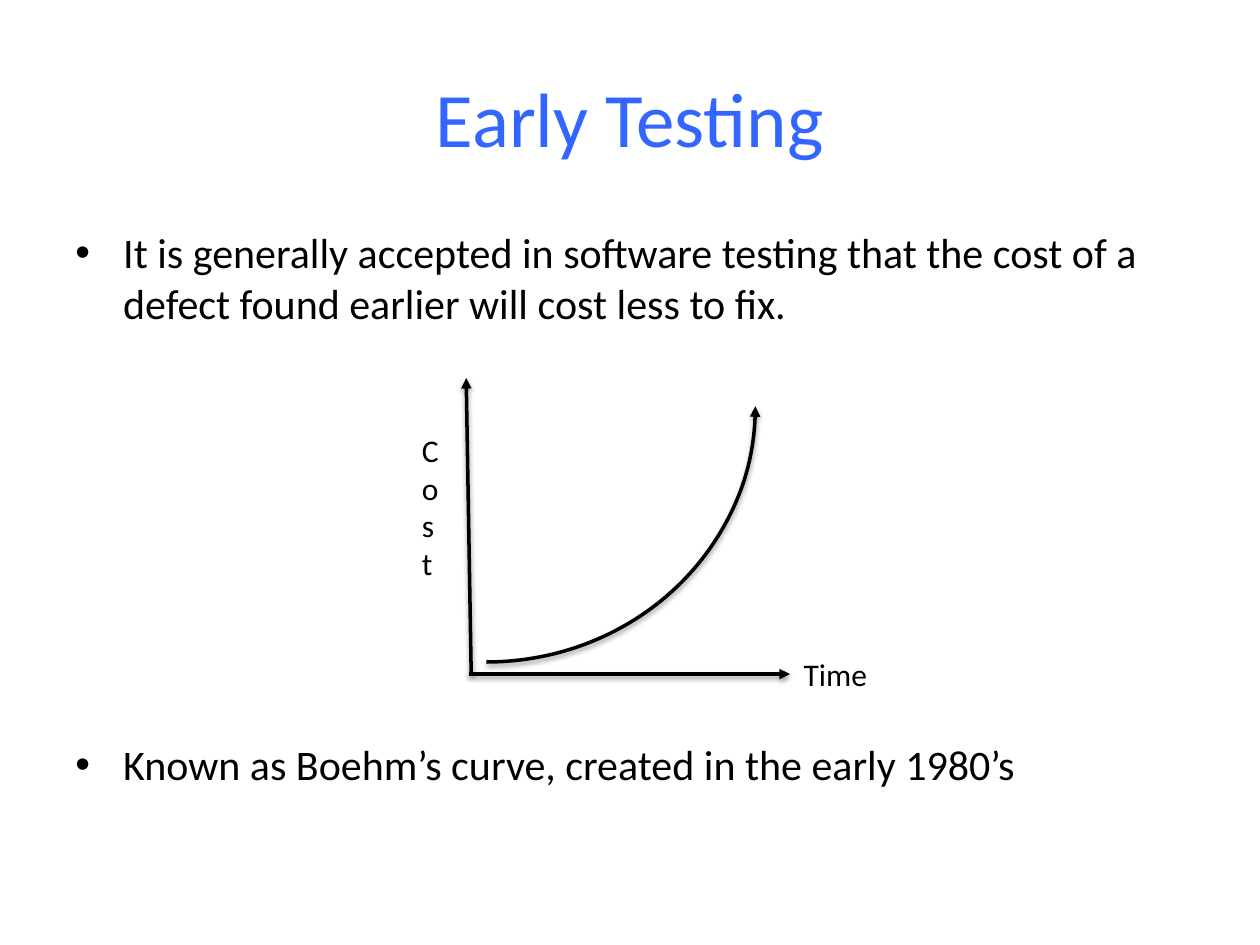
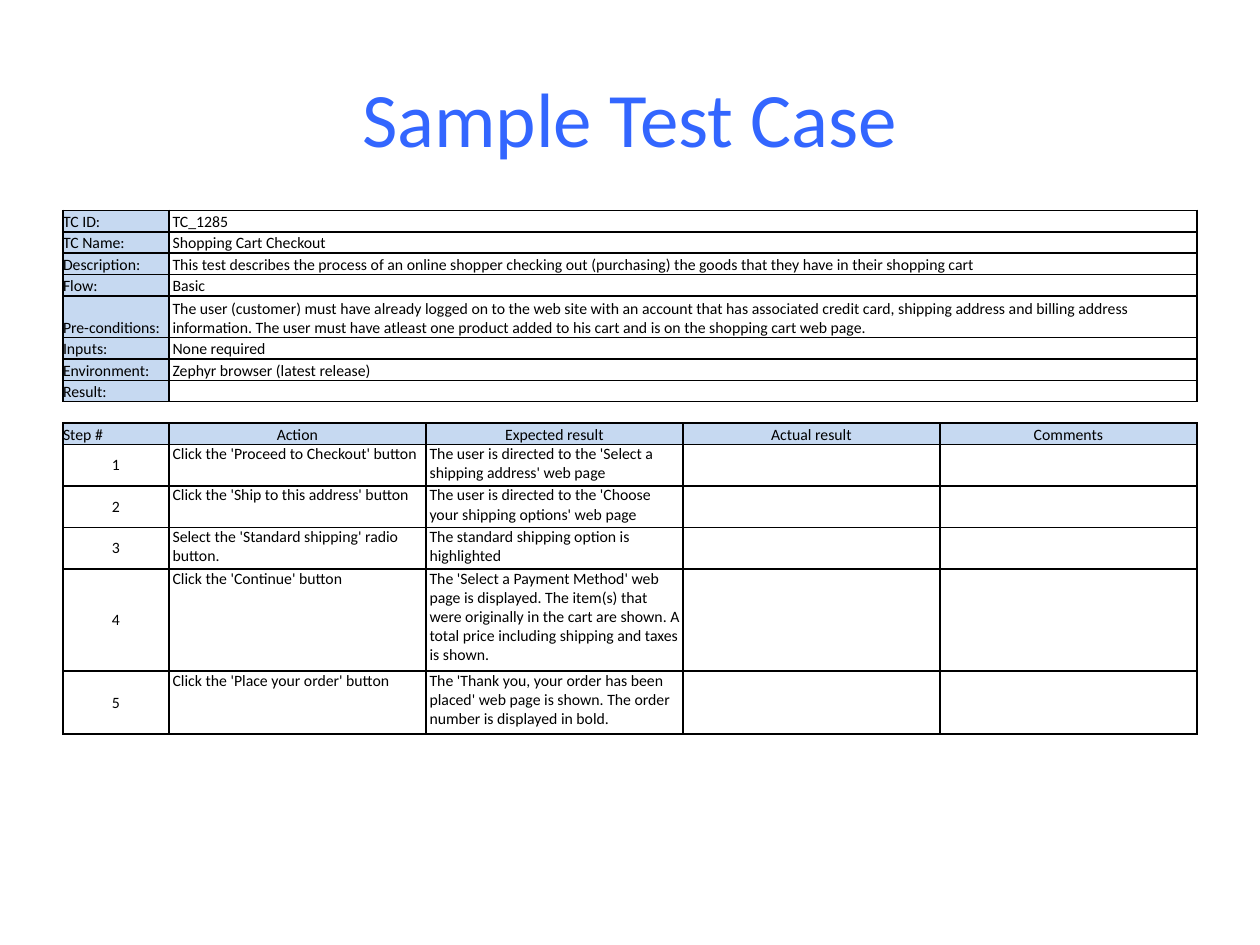
from dataclasses import dataclass

from lxml import etree
from pptx import Presentation
from pptx import util as u
from pptx.dml.color import RGBColor
from pptx.enum import shapes, text
from pptx.oxml import ns

IN = u.Inches
AL, ANC = text.PP_ALIGN, text.MSO_ANCHOR


@dataclass(frozen=True)
class Theme:
    font: str = "Calibri"
    title: str = "3366FF"
    ink: str = "000000"
    label: str = "C6D9F1"
    paper: str = "FFFFFF"
    title_pt: int = 44
    body_pt: int = 24
    axis_pt: int = 18
    cell_pt: int = 9


T = Theme()
TITLE_BOX = (0.5, 0.3, 9, 1.25)

BULLETS = [
    "It is generally accepted in software testing that the cost of a defect "
    "found earlier will cost less to fix.",
    "Known as Boehm’s curve, created in the early 1980’s",
]

DETAILS = [
    ("TC ID:", "TC_1285"),
    ("TC Name:", "Shopping Cart Checkout"),
    ("Description:", "This test describes the process of an online shopper checking out "
     "(purchasing) the goods that they have in their shopping cart"),
    ("Flow:", "Basic"),
    ("Pre-conditions:", "The user (customer) must have already logged on to the web site with an "
     "account that has associated credit card, shipping address and billing address\n"
     "information. The user must have atleast one product added to his cart and is on "
     "the shopping cart web page."),
    ("Inputs:", "None required"),
    ("Environment:", "Zephyr browser (latest release)"),
    ("Result:", ""),
]
HEADERS = ["Step #", "Action", "Expected result", "Actual result", "Comments"]
STEPS = [
    ("Click the 'Proceed to Checkout' button",
     "The user is directed to the 'Select a\nshipping address' web page"),
    ("Click the 'Ship to this address' button",
     "The user is directed to the 'Choose\nyour shipping options' web page"),
    ("Select the 'Standard shipping' radio\nbutton.",
     "The standard shipping option is\nhighlighted"),
    ("Click the 'Continue' button",
     "The 'Select a Payment Method' web\npage is displayed. The item(s) that\n"
     "were originally in the cart are shown. A\n"
     "total price including shipping and taxes\nis shown."),
    ("Click the 'Place your order' button",
     "The 'Thank you, your order has been\nplaced' web page is shown. The order\n"
     "number is displayed in bold."),
]
COLUMNS = [0.84] + [2.04] * 4
ROW, TWO_LINES = 0.17, 0.33
ROWS = [ROW] * 4 + [TWO_LINES] + [ROW] * 5 + [TWO_LINES] * 3 + [0.81, 0.5]


def sub(parent, tag, **attrs):
    return etree.SubElement(parent, ns.qn(tag), {k: str(v) for k, v in attrs.items()})


def style(p, size, color=T.ink, align=AL.LEFT):
    p.alignment = align
    p.font.name, p.font.size = T.font, u.Pt(size)
    p.font.color.rgb = RGBColor.from_string(color)


def add_text(s, box, words, size, color=T.ink, align=AL.LEFT, anchor=ANC.TOP):
    tf = s.shapes.add_textbox(*map(IN, box)).text_frame
    tf.word_wrap, tf.vertical_anchor = True, anchor
    tf.text = words
    style(tf.paragraphs[0], size, color, align)


def add_slide(prs, title):
    s = prs.slides.add_slide(prs.slide_layouts[6])
    add_text(s, TITLE_BOX, title, T.title_pt, T.title, AL.CENTER, ANC.MIDDLE)
    return s


def add_bullets(s, box, items, gap):
    tf = s.shapes.add_textbox(*map(IN, box)).text_frame
    tf.word_wrap = True
    tf.text = "\n".join(items)
    for i, p in enumerate(tf.paragraphs):
        pr = p._p.get_or_add_pPr()
        pr.set("marL", str(IN(0.38)))
        pr.set("indent", str(IN(-0.38)))
        sub(pr, "a:buFont", typeface="Arial")
        sub(pr, "a:buChar", char="•")
        style(p, T.body_pt)
        p.space_before = u.Pt(gap if i else 0)


def draw_arrow(sp, end):
    """Black line with an arrowhead at one end and a soft shadow below."""
    sp.line.color.rgb = RGBColor.from_string(T.ink)
    sp.line.width = u.Pt(2)
    sub(sp.line._get_or_add_ln(), end, type="triangle")
    pr = sp._element.spPr
    shadow = sub(sub(pr, "a:effectLst"), "a:outerShdw", blurRad=u.Pt(3.1), dist=u.Pt(1.6),
                 dir=5400000, rotWithShape=0)
    sub(sub(shadow, "a:srgbClr", val=T.ink), "a:alpha", val=38000)


def cost_curve(s, x, y):
    # Axes
    for x1, y1, x2, y2 in [(0.49, 2.35, 0.45, 0), (0.47, 2.35, 3.02, 2.35)]:
        axis = s.shapes.add_connector(shapes.MSO_CONNECTOR.STRAIGHT,
                                      IN(x + x1), IN(y + y1), IN(x + x2), IN(y + y2))
        draw_arrow(axis, "a:tailEnd")
    # Rising cost
    arc = s.shapes.add_shape(shapes.MSO_SHAPE.ARC, IN(x - 1.42), IN(y - 1.91), IN(4.06), IN(4.27))
    arc.rotation = 90
    arc.fill.background()
    draw_arrow(arc, "a:headEnd")
    # Axis names; the narrow box stacks its letters
    add_text(s, (x, y + 0.37, 0.33, 1.31), "Cost", T.axis_pt)
    add_text(s, (x + 3.03, y + 2.15, 0.8, 0.41), "Time", T.axis_pt)


def set_cell(cell, words="", fill=T.paper, align=AL.LEFT, anchor=ANC.TOP, pad=0.0, sides="LRTB"):
    cell.margin_left = IN(pad)
    cell.margin_right = cell.margin_top = cell.margin_bottom = 0
    cell.vertical_anchor = anchor
    pr = cell._tc.get_or_add_tcPr()
    for side in "LRTB":
        ln = sub(pr, "a:ln" + side, w=u.Pt(1))
        if side in sides:
            sub(sub(ln, "a:solidFill"), "a:srgbClr", val=T.ink)
        else:
            sub(ln, "a:noFill")
    cell.fill.solid()
    cell.fill.fore_color.rgb = RGBColor.from_string(fill)
    cell.text_frame.text = words
    for p in cell.text_frame.paragraphs:
        style(p, T.cell_pt, align=align)
        if not p.runs:
            sub(p._p, "a:endParaRPr", sz=T.cell_pt * 100)


def test_case_table(s, x, y):
    frame = s.shapes.add_table(len(ROWS), len(COLUMNS), IN(x), IN(y),
                               IN(sum(COLUMNS)), IN(sum(ROWS)))
    tbl = frame.table
    tbl.first_row = tbl.horz_banding = False
    for col, width in zip(tbl.columns, COLUMNS):
        col.width = IN(width)
    for row, height in zip(tbl.rows, ROWS):
        row.height = IN(height)
    last = len(COLUMNS) - 1
    # Details, each value across the remaining columns
    for r, (label, value) in enumerate(DETAILS):
        set_cell(tbl.cell(r, 0), label, T.label, anchor=ANC.BOTTOM)
        for c in range(1, last + 1):
            set_cell(tbl.cell(r, c), value if c == 1 else "", anchor=ANC.BOTTOM, pad=0.03)
        tbl.cell(r, 1).merge(tbl.cell(r, last))
    # Gap row and step headings
    gap = len(DETAILS)
    for c, header in enumerate(HEADERS):
        set_cell(tbl.cell(gap, c), sides="TB")
        set_cell(tbl.cell(gap + 1, c), header, T.label, AL.CENTER if c else AL.LEFT, ANC.BOTTOM)
    # Steps
    for n, (action, expected) in enumerate(STEPS, 1):
        r = gap + 1 + n
        set_cell(tbl.cell(r, 0), str(n), align=AL.CENTER, anchor=ANC.MIDDLE)
        for c, words in enumerate((action, expected, "", ""), 1):
            set_cell(tbl.cell(r, c), words, pad=0.03)


def main():
    prs = Presentation()
    prs.slide_width, prs.slide_height = IN(10), IN(7.5)

    s = add_slide(prs, "Early Testing")
    add_bullets(s, (0.5, 1.75, 9, 4.95), BULLETS, gap=235)
    cost_curve(s, 3.25, 3)

    s = add_slide(prs, "Sample Test Case")
    test_case_table(s, 0.5, 1.67)

    prs.save("out.pptx")


if __name__ == "__main__":
    main()
